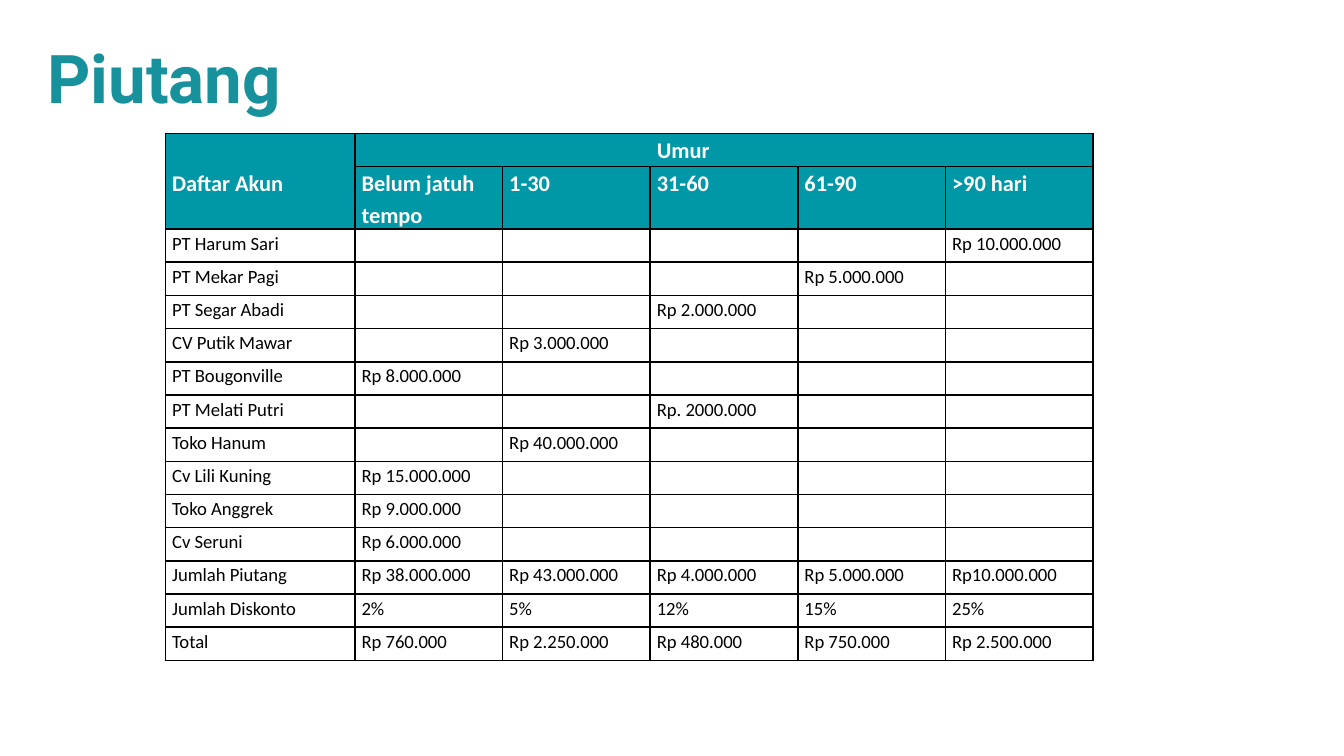
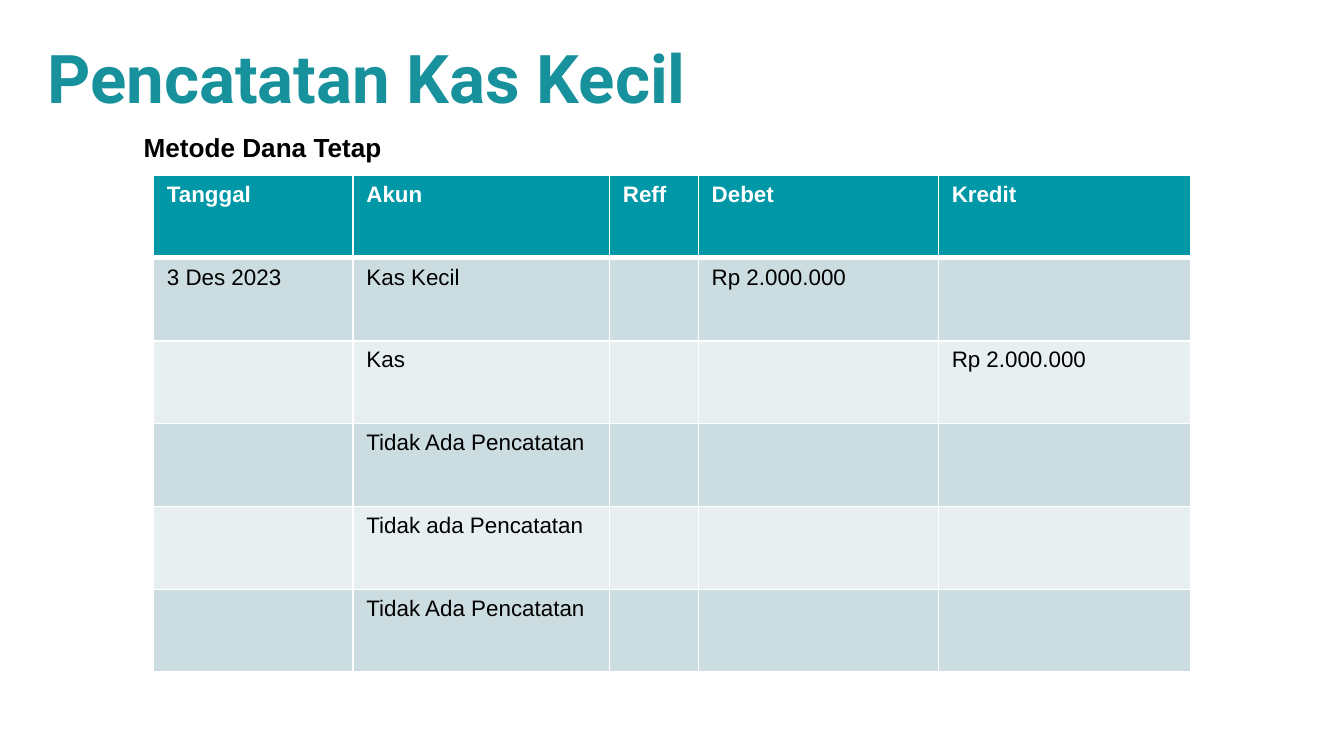
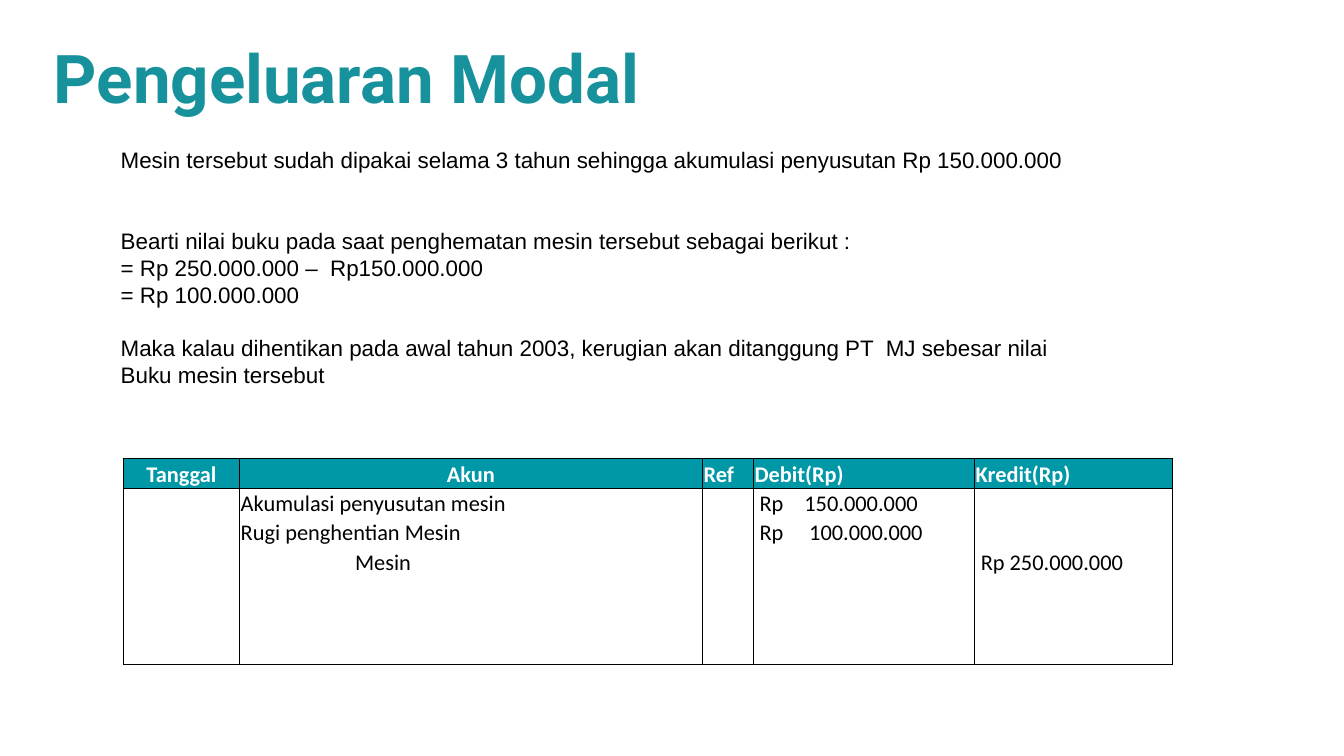
"""Build three accounting slides: receivables, petty cash and capital expenditure."""
import pptx
import pptx.dml.color
import pptx.enum.text
import pptx.oxml.ns
import pptx.util
from lxml import etree

Pt = pptx.util.Pt
colour = pptx.dml.color.RGBColor.from_string
qn = pptx.oxml.ns.qn
ALIGN = pptx.enum.text.PP_ALIGN
ANCHOR = pptx.enum.text.MSO_ANCHOR

TEAL, TITLE, WHITE, BLACK = "0097A7", "17919B", "FFFFFF", "000000"
BANDS = ["CCDDE1", "E7EFF1"]


def add_text(slide, box, lines, font, size, text_colour, bold, margins=(7.2, 3.6, 7.2, 3.6)):
    """Add a text box with one paragraph per line and return its paragraphs."""
    shape = slide.shapes.add_textbox(*[Pt(length) for length in box])
    frame = shape.text_frame
    frame.word_wrap = True
    frame.margin_left, frame.margin_top, frame.margin_right, frame.margin_bottom = map(Pt, margins)
    for index, line in enumerate(lines):
        paragraph = frame.add_paragraph() if index else frame.paragraphs[0]
        run = paragraph.add_run()
        run.text = line
        run.font.name, run.font.size, run.font.bold = font, Pt(size), bold
        run.font.color.rgb = colour(text_colour)
    return frame.paragraphs


def add_table(slide, left, top, widths, heights, rows, font, body_size, margins,
              border_colour, borders, bands=(), header_rows=1):
    """Add a table; borders(row, column) gives the width of each drawn side."""
    frame = slide.shapes.add_table(len(heights), len(widths), Pt(left), Pt(top),
                                   Pt(sum(widths)), Pt(sum(heights)))
    table = frame.table
    table.first_row = table.horz_banding = False
    for column, width in zip(table.columns, widths):
        column.width = Pt(width)
    for row, height in zip(table.rows, heights):
        row.height = Pt(height)
    for r in range(len(heights)):
        is_header = r < header_rows
        size = 12 if is_header else body_size
        for c in range(len(widths)):
            cell = table.cell(r, c)
            cell.margin_left, cell.margin_top, cell.margin_right, cell.margin_bottom = map(Pt, margins)
            properties = cell._tc.get_or_add_tcPr()
            sides = borders(r, c)
            for side in "LRTB":
                line = etree.SubElement(properties, qn("a:ln" + side))
                if side in sides:
                    line.set("w", str(Pt(sides[side])))
                    solid = etree.SubElement(line, qn("a:solidFill"))
                    etree.SubElement(solid, qn("a:srgbClr"), val=border_colour)
                else:
                    line.set("w", "0")
                    etree.SubElement(line, qn("a:noFill"))
            if is_header or bands:
                cell.fill.solid()
                fill = TEAL if is_header else bands[(r - header_rows) % len(bands)]
                cell.fill.fore_color.rgb = colour(fill)
            else:
                cell.fill.background()
            paragraph = cell.text_frame.paragraphs[0]
            text = rows[r].get(c) if r < len(rows) else None
            if text:
                run = paragraph.add_run()
                run.text = text
                run.font.name, run.font.size, run.font.bold = font, Pt(size), is_header
                run.font.color.rgb = colour(WHITE if is_header else BLACK)
            else:
                etree.SubElement(paragraph._p, qn("a:endParaRPr"), sz=str(size * 100))
    return table


presentation = pptx.Presentation()
presentation.slide_width, presentation.slide_height = Pt(720), Pt(405)

slides = []
for title, left in [("Piutang", 24.5), ("Pencatatan Kas Kecil", 24.5), ("Pengeluaran Modal", 28)]:
    slide = presentation.slides.add_slide(presentation.slide_layouts[6])
    add_text(slide, (left, 18.7, 696 - left, 44.6), [title], "Roboto", 36, TITLE, True, (0.9, 0.9, 0, 0))
    slides.append(slide)
receivables, petty_cash, capital = slides

ages = ["Belum jatuh tempo", "1-30", "31-60", "61-90", ">90 hari"]
debts = [
    ("PT Harum Sari", 5, "Rp 10.000.000"),
    ("PT Mekar Pagi", 4, "Rp 5.000.000"),
    ("PT Segar Abadi", 3, "Rp 2.000.000"),
    ("CV Putik Mawar", 2, "Rp 3.000.000"),
    ("PT Bougonville", 1, "Rp 8.000.000"),
    ("PT Melati Putri", 3, "Rp. 2000.000"),
    ("Toko Hanum", 2, "Rp 40.000.000"),
    ("Cv Lili Kuning", 1, "Rp 15.000.000"),
    ("Toko Anggrek", 1, "Rp 9.000.000"),
    ("Cv Seruni", 1, "Rp 6.000.000"),
]
totals = [
    ["Jumlah Piutang", "Rp 38.000.000", "Rp 43.000.000", "Rp 4.000.000", "Rp 5.000.000", "Rp10.000.000"],
    ["Jumlah Diskonto", "2%", "5%", "12%", "15%", "25%"],
    ["Total", "Rp 760.000", "Rp 2.250.000", "Rp 480.000", "Rp 750.000", "Rp 2.500.000"],
]
aging_rows = [{3: "Umur"}, dict(enumerate(["Daftar Akun"] + ages))]
aging_rows += [{0: debtor, column: amount} for debtor, column, amount in debts]
aging_rows += [dict(enumerate(total)) for total in totals]
open_sides = {(0, 0): "LRT", (1, 0): "LRB", (0, 1): "LTB", (0, 5): "RTB"}
open_sides.update({(0, column): "TB" for column in (2, 3, 4)})
aging = add_table(receivables, 88.6, 71.5, [101.5] + [79.1] * 5, [17.8, 33.5] + [17.8] * 13,
                  aging_rows, "Calibri", 10, (3.6, 0, 3.6, 0), BLACK,
                  lambda r, c: dict.fromkeys(open_sides.get((r, c), "LRTB"), 1), header_rows=2)
for cell in aging.iter_cells():
    paragraph = cell.text_frame.paragraphs[0]
    paragraph.line_spacing = 1.15
    paragraph.space_after = Pt(8)

add_text(petty_cash, (69.8, 67, 193.7, 24.5), ["Metode Dana Tetap"], "Arial", 14, BLACK, True)
journal_rows = [
    dict(enumerate(["Tanggal", "Akun", "Reff", "Debet", "Kredit"])),
    {0: "3 Des 2023", 1: "Kas Kecil", 3: "Rp 2.000.000"},
    {1: "Kas", 4: "Rp 2.000.000"},
    {1: "Tidak Ada Pencatatan"},
    {1: "Tidak ada Pencatatan"},
    {1: "Tidak Ada Pencatatan"},
]
add_table(petty_cash, 82.2, 93.8, [106.9, 137.4, 47.6, 128.6, 135.4], [44.4] * 6,
          journal_rows, "Arial", 12, (7.2, 3.6, 7.2, 3.6), WHITE,
          lambda r, c: {"L": 1, "R": 1, "T": 3 if r == 1 else 1, "B": 3 if r == 0 else 1}, BANDS)

explanation = [
    ("Mesin tersebut sudah dipakai selama 3 tahun sehingga akumulasi penyusutan Rp 150.000.000", 0),
    ("Bearti nilai buku pada saat penghematan mesin tersebut sebagai berikut :", 2),
    ("= Rp 250.000.000 –  Rp150.000.000", 0),
    ("= Rp 100.000.000", 0),
    ("Maka kalau dihentikan pada awal tahun 2003, kerugian akan ditanggung PT  MJ sebesar nilai", 1),
    ("Buku mesin tersebut", 0),
]
line_height = 14.4
paragraphs = add_text(capital, (57.6, 74.9, 522.7, 138.2), [line for line, gap in explanation],
                      "Arial", 12, BLACK, False)
for paragraph, (line, gap) in zip(paragraphs, explanation):
    paragraph.line_spacing = Pt(line_height)
    if gap:
        paragraph.space_before = Pt(gap * line_height)

disposal_rows = [
    dict(enumerate(["Tanggal", "Akun", "Ref", "Debit(Rp)", "Kredit(Rp)"])),
    {1: "Akumulasi penyusutan mesin", 3: "Rp\t150.000.000"},
    {1: "Rugi penghentian Mesin", 3: "Rp\t100.000.000"},
    {1: "Mesin", 4: "Rp 250.000.000"},
]
disposal_sides = {0: "LRTB", 1: "LRT", 6: "LRB"}
disposal = add_table(capital, 66.2, 245.8, [62.1, 248, 27.3, 118.5, 106.3], [15.75] * 7,
                     disposal_rows, "Calibri", 12, (0.7, 0.7, 0.7, 0), BLACK,
                     lambda r, c: dict.fromkeys(disposal_sides.get(r, "LR"), 0.5))
for cell in disposal.iter_cells():
    cell.vertical_anchor = ANCHOR.BOTTOM
for column in (0, 1):
    disposal.cell(0, column).text_frame.paragraphs[0].alignment = ALIGN.CENTER
for row, column, indent in [(1, 3, 3.4), (2, 3, 3.4), (3, 4, 3.4), (3, 1, 62)]:
    disposal.cell(row, column).margin_left = Pt(indent)
for row, position in [(1, 24), (2, 26.6)]:
    paragraph = disposal.cell(row, 3).text_frame.paragraphs[0]
    tab_stops = etree.SubElement(paragraph._p.get_or_add_pPr(), qn("a:tabLst"))
    etree.SubElement(tab_stops, qn("a:tab"), pos=str(Pt(position)), algn="l")

presentation.save("out.pptx")
